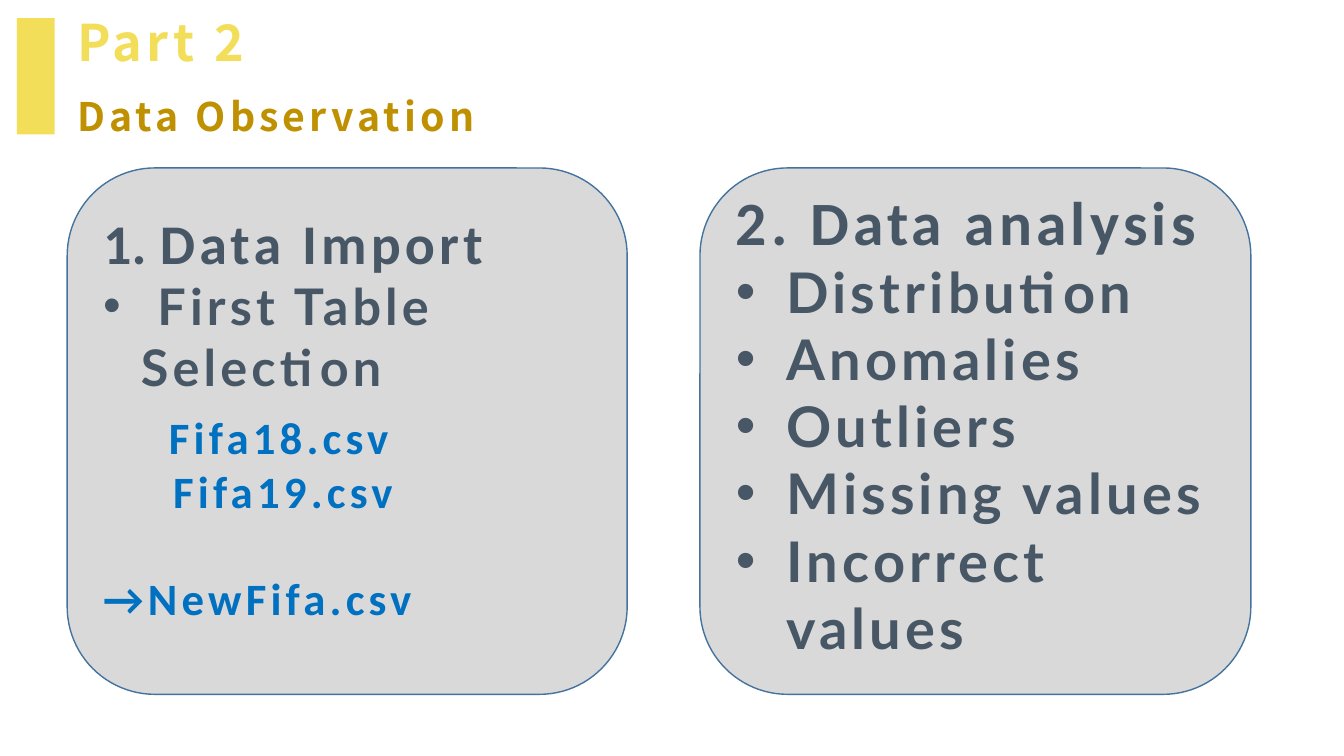
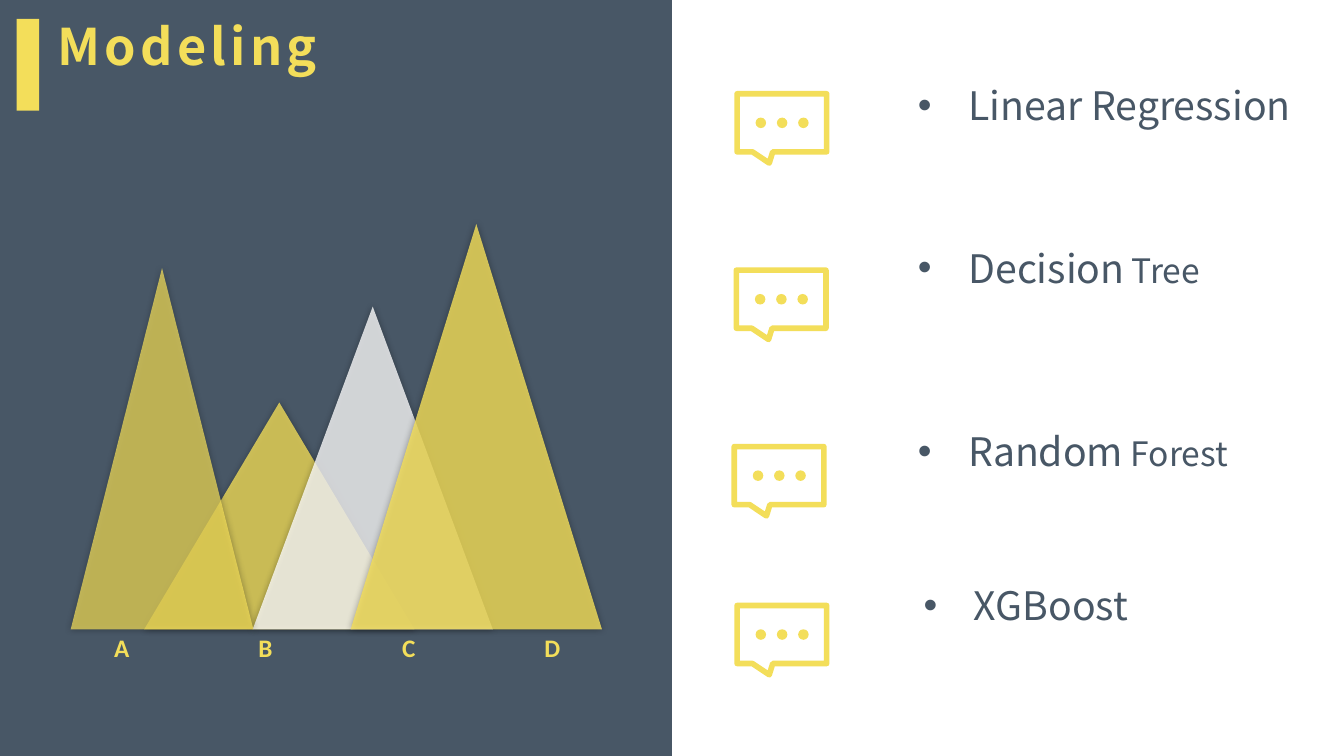
"""Build two data science slides: data observation and modeling."""
import pptx
import pptx.dml.color
import pptx.enum.shapes
import pptx.enum.text
import pptx.oxml
import pptx.oxml.ns
import pptx.util

Pt = pptx.util.Pt
SHAPES = pptx.enum.shapes.MSO_SHAPE
YELLOW, GOLD, SLATE, BLUE = "F3DE5A", "BF9000", "485766", "0070C0"
GREY, OUTLINE, WHITE = "D9D9D9", "43739E", "FFFFFF"
HEADING_FONT, LIST_FONT, LABEL_FONT = "Noto Sans CJK SC", "Lato", "Calibri"
NUMBER = '<a:buAutoNum {} type="arabicPeriod"/>'
BULLET = '<a:buChar {} char="•"/>'
PLAIN = "<a:buNone {}/>"

PANEL_TOP, PANEL_HEIGHT, PANEL_INSET = 120, 376, 18.5
FILE_STYLE = {"size": 32, "font": LABEL_FONT, "color": BLUE}
PANELS = [
    {"left": 48, "width": 400, "text_top": 145, "items": [
        {"text": ["Data Import"], "size": 40, "font": LABEL_FONT, "bullet": NUMBER, "margin": 40.5, "hang": 40.5},
        {"text": [" First Table Selection"], "size": 36, "bullet": BULLET, "margin": 27, "hang": 27},
        {"text": ["Fifa18.csv"], "margin": 47, "before": 10, **FILE_STYLE},
        {"text": ["Fifa19.csv"], "margin": 50, **FILE_STYLE},
        {"text": ["→NewFifa.csv"], "before": 38, **FILE_STYLE},
    ]},
    {"left": 500, "width": 393.5, "text_top": 127.5, "items": [
        {"text": ["2. Data analysis"], "size": 44, "font": LABEL_FONT},
        *({"text": [topic], "size": 40, "bullet": BULLET, "margin": 36, "hang": 36}
          for topic in ("Distribution", "Anomalies", "Outliers", "Missing values", "Incorrect values")),
    ]},
]

MODELS = [(["Linear Regression"], 0, 36), (["Decision", " Tree"], 82.5, 36),
          (["Random", " Forest"], 97.5, 36), (["XGBoost"], 76, 40)]
BUBBLES = [(524.5, 65), (524, 191), (522.5, 317), (524.5, 430.5)]
BUBBLE_OUTLINE = [(2, 2), (66, 2), (66, 43.5), (27.5, 43.5), (25, 51.5), (13, 43.5), (2, 43.5)]
DOT_SIZE, DOT_LEFT, DOT_TOP, DOT_STEP = 7.5, 15.2, 19, 15.2
PEAK_BASE = 449.5
PEAKS = [(103, 193, 162, YELLOW, 79), (180.5, 171.5, 230.5, WHITE, 78),
         (250.5, 179.5, 289.5, YELLOW, 82), (50.5, 130.5, 258, YELLOW, 72)]
LABEL_CENTER, LABEL_STEP, LABEL_WIDTH = 87, 102.5, 40


def rgb(color):
    return pptx.dml.color.RGBColor.from_string(color)


def element(template):
    return pptx.oxml.parse_xml(template.format(pptx.oxml.ns.nsdecls("a")))


def place(shape, box):
    shape.left, shape.top, shape.width, shape.height = map(Pt, box)


def add_shape(parent, kind, box, fill, line=None, behind=None):
    shape = parent.add_shape(kind, *map(Pt, box))
    shape.shadow.inherit = False
    shape.fill.solid()
    shape.fill.fore_color.rgb = rgb(fill)
    if line:
        shape.line.color.rgb = rgb(line)
        shape.line.width = Pt(1)
    else:
        shape.line.fill.background()
    if behind is not None:
        behind.element.addprevious(shape.element)
    return shape


def style(paragraph, size, font, color, bold=False, spacing=0):
    paragraph.font.size = Pt(size)
    paragraph.font.name = font
    paragraph.font.bold = bold
    paragraph.font.color.rgb = rgb(color)
    if spacing:
        paragraph.font._element.set("spc", str(spacing * 100))


def prepare(shape):
    frame = shape.text_frame
    frame.word_wrap = True
    frame.auto_size = pptx.enum.text.MSO_AUTO_SIZE.NONE
    frame.vertical_anchor = pptx.enum.text.MSO_ANCHOR.TOP
    return frame


def write_line(shape, box, text, alignment=pptx.enum.text.PP_ALIGN.LEFT, **look):
    place(shape, box)
    paragraph = prepare(shape).paragraphs[0]
    paragraph.text = text
    paragraph.alignment = alignment
    style(paragraph, **look)


def write_list(shape, box, items, **look):
    place(shape, box)
    frame = prepare(shape)
    for index, item in enumerate(items):
        paragraph = frame.paragraphs[0] if index == 0 else frame.add_paragraph()
        for text in item["text"]:
            paragraph.add_run().text = text
        for run in paragraph.runs[1:]:
            run.font.size = Pt(24)
        paragraph.space_before = Pt(item.get("before", 0))
        properties = paragraph._p.get_or_add_pPr()
        properties.set("marL", str(Pt(item.get("margin", 0))))
        properties.set("indent", str(-Pt(item.get("hang", 0))))
        properties.append(element(item.get("bullet", PLAIN)))
        style(paragraph, item["size"], item.get("font", look["font"]), item.get("color", SLATE),
              look.get("bold", False), look.get("spacing", 0))


def add_heading(slide, text, title_box, bar_box):
    title = slide.shapes.title
    write_line(title, title_box, text, size=36, font=HEADING_FONT, color=YELLOW, bold=True, spacing=3)
    add_shape(slide.shapes, SHAPES.RECTANGLE, bar_box, YELLOW, behind=title)


def add_peak(slide, left, width, height, color, opacity):
    peak = add_shape(slide.shapes, SHAPES.ISOSCELES_TRIANGLE, (left, PEAK_BASE - height, width, height), color)
    properties = peak.element.spPr
    alpha = element("<a:alpha {}/>")
    alpha.set("val", str(opacity * 1000))
    properties.find(".//" + pptx.oxml.ns.qn("a:srgbClr")).append(alpha)
    properties.find(pptx.oxml.ns.qn("a:effectLst")).append(element(
        '<a:outerShdw {} blurRad="63500" dist="0"><a:srgbClr val="000000">'
        '<a:alpha val="40000"/></a:srgbClr></a:outerShdw>'))


def add_bubble(slide, left, top):
    group = slide.shapes.add_group_shape().shapes
    points = [(Pt(x), Pt(y)) for x, y in BUBBLE_OUTLINE]
    builder = group.build_freeform(*points[0])
    builder.add_line_segments(points[1:], close=True)
    outline = builder.convert_to_shape(Pt(left), Pt(top))
    outline.shadow.inherit = False
    outline.fill.background()
    outline.line.color.rgb = rgb(YELLOW)
    outline.line.width = Pt(4)
    for index in range(3):
        dot_left = left + DOT_LEFT + index * DOT_STEP
        add_shape(group, SHAPES.OVAL, (dot_left, top + DOT_TOP, DOT_SIZE, DOT_SIZE), YELLOW)


def build_observation(presentation):
    slide = presentation.slides.add_slide(presentation.slide_layouts[3])
    add_heading(slide, "Part 2", (48, 4.5, 419, 64), (12, 13, 27, 83))
    write_line(slide.shapes.add_textbox(0, 0, 0, 0), (48, 62.5, 471, 41), "Data Observation",
               size=28, font=HEADING_FONT, color=GOLD, bold=True, spacing=3)
    for body, panel in zip(list(slide.placeholders)[1:], PANELS):
        left, width, text_top = panel["left"], panel["width"], panel["text_top"]
        add_shape(slide.shapes, SHAPES.ROUNDED_RECTANGLE, (left, PANEL_TOP, width, PANEL_HEIGHT),
                  GREY, OUTLINE, behind=body)
        text_box = (left + PANEL_INSET, text_top, width - 2 * PANEL_INSET, PANEL_TOP + PANEL_HEIGHT - text_top)
        write_list(body, text_box, panel["items"], font=LIST_FONT, bold=True, spacing=3)


def build_modeling(presentation):
    slide = presentation.slides.add_slide(presentation.slide_layouts[1])
    add_shape(slide.shapes, SHAPES.RECTANGLE, (0, 0, 480, 540), SLATE, behind=slide.shapes.title)
    add_heading(slide, "Modeling", (34, 7, 250, 51), (12, 13.5, 16, 65.5))
    for peak in PEAKS:
        add_peak(slide, *peak)
    for index, letter in enumerate("ABCD"):
        left = LABEL_CENTER + index * LABEL_STEP - LABEL_WIDTH / 2
        write_line(slide.shapes.add_textbox(0, 0, 0, 0), (left, 448, LABEL_WIDTH, 29), letter,
                   pptx.enum.text.PP_ALIGN.CENTER, size=18, font=LABEL_FONT, color=YELLOW, bold=True)
    for left, top in BUBBLES:
        add_bubble(slide, left, top)
    items = [{"text": text, "before": before, "margin": margin, "hang": 36, "size": 28, "bullet": BULLET}
             for text, before, margin in MODELS]
    write_list(slide.placeholders[1], (648.5, 54.5, 290, 425), items, font=HEADING_FONT)


def main():
    presentation = pptx.Presentation()
    presentation.slide_width, presentation.slide_height = Pt(960), Pt(540)
    build_observation(presentation)
    build_modeling(presentation)
    presentation.save("out.pptx")


if __name__ == "__main__":
    main()
